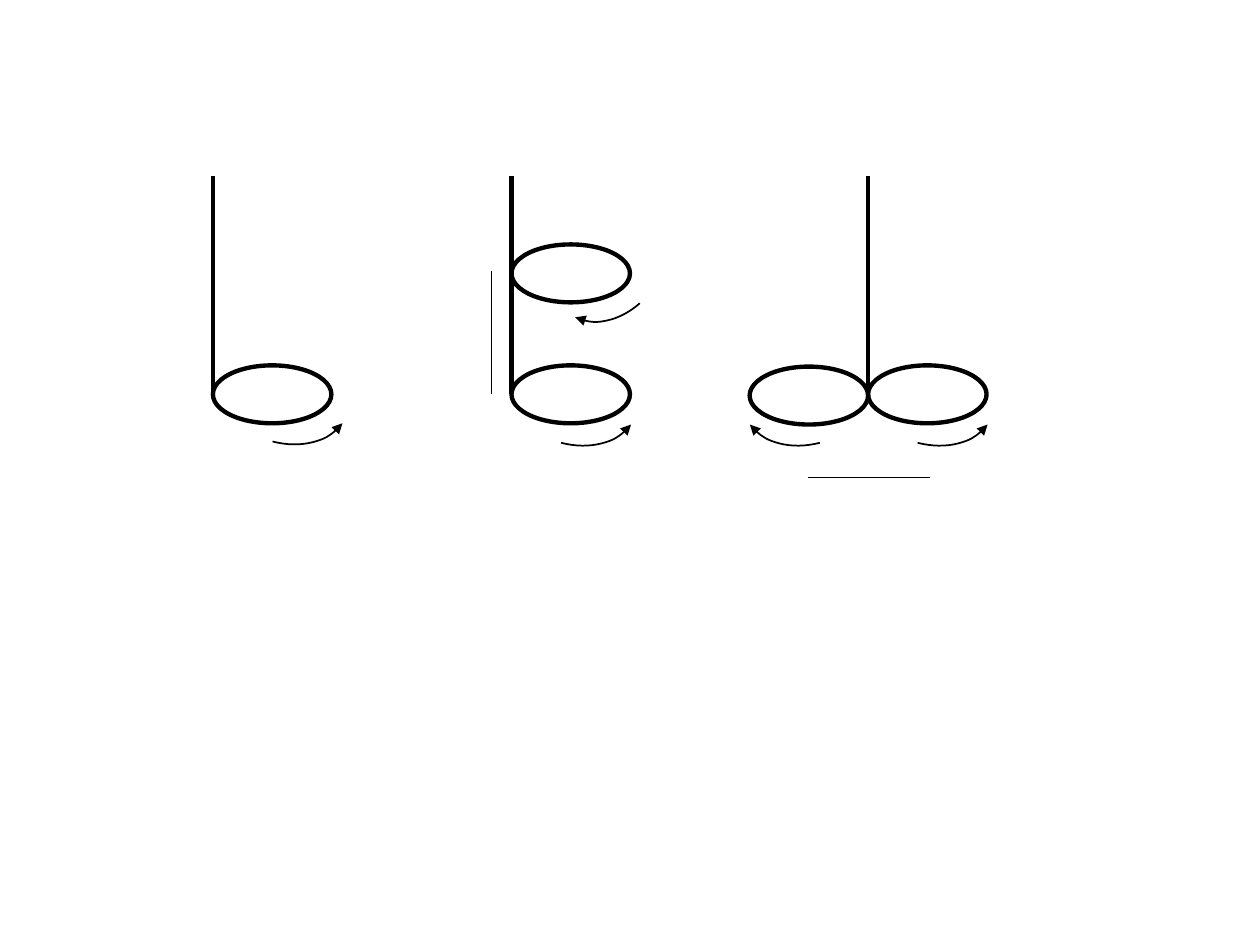
from lxml import etree
from pptx import Presentation
from pptx.dml.color import RGBColor
from pptx.enum.shapes import MSO_CONNECTOR, MSO_SHAPE
from pptx.oxml.ns import qn
from pptx.util import Inches, Pt

STRAIGHT = MSO_CONNECTOR.STRAIGHT
OVAL = MSO_SHAPE.OVAL
ARC = MSO_SHAPE.ARC
BLACK = RGBColor(0, 0, 0)
THICK = 2.5
THIN = 1
ARC_START, ARC_END = 270, 322.39
ANGLE_UNIT = 0.6

presentation = Presentation()
presentation.slide_width = Inches(10)
presentation.slide_height = Inches(7.5)
slide = presentation.slides.add_slide(presentation.slide_layouts[6])


def add_line(x1, y1, x2, y2, weight):
    line = slide.shapes.add_connector(
        STRAIGHT, Inches(x1), Inches(y1), Inches(x2), Inches(y2))
    line.line.color.rgb = BLACK
    line.line.width = Pt(weight)
    etree.SubElement(line._element.spPr, qn("a:effectLst"))


def add_outline(kind, left, top, width, height, weight):
    shape = slide.shapes.add_shape(
        kind, Inches(left), Inches(top), Inches(width), Inches(height))
    shape.shadow.inherit = False
    shape.fill.background()
    shape.line.color.rgb = BLACK
    shape.line.width = Pt(weight)
    return shape


for stem_x in (1.69, 4.06, 6.89):
    add_line(stem_x, 1.4, stem_x, 3.13, THICK)

for left, top in ((1.69, 2.9), (4.06, 2.9), (4.06, 1.94), (6.89, 2.9), (5.95, 2.91)):
    add_outline(OVAL, left, top, 0.94, 0.46, THICK)

rotation_arrows = (
    (1.64, 2.23, 1.05, 1.4, 127.8, False),
    (3.93, 2.24, 1.05, 1.4, 127.8, False),
    (4.36, 1.3, 0.96, 1.28, 205.4, True),
    (6.76, 2.24, 1.05, 1.4, 127.8, False),
    (5.98, 2.24, 1.05, 1.4, 232.2, True),
)
for left, top, width, height, rotation, flipped in rotation_arrows:
    arrow = add_outline(ARC, left, top, width, height, THIN)
    arrow.adjustments[0] = ARC_START * ANGLE_UNIT
    arrow.adjustments[1] = ARC_END * ANGLE_UNIT
    arrow.rotation = rotation
    if flipped:
        arrow._element.spPr.find(qn("a:xfrm")).set("flipH", "1")
    outline = arrow._element.spPr.find(qn("a:ln"))
    etree.SubElement(outline, qn("a:headEnd"), type="triangle")

add_line(3.9, 2.15, 3.9, 3.13, THIN)
add_line(6.41, 3.79, 7.38, 3.79, THIN)

presentation.save("out.pptx")
